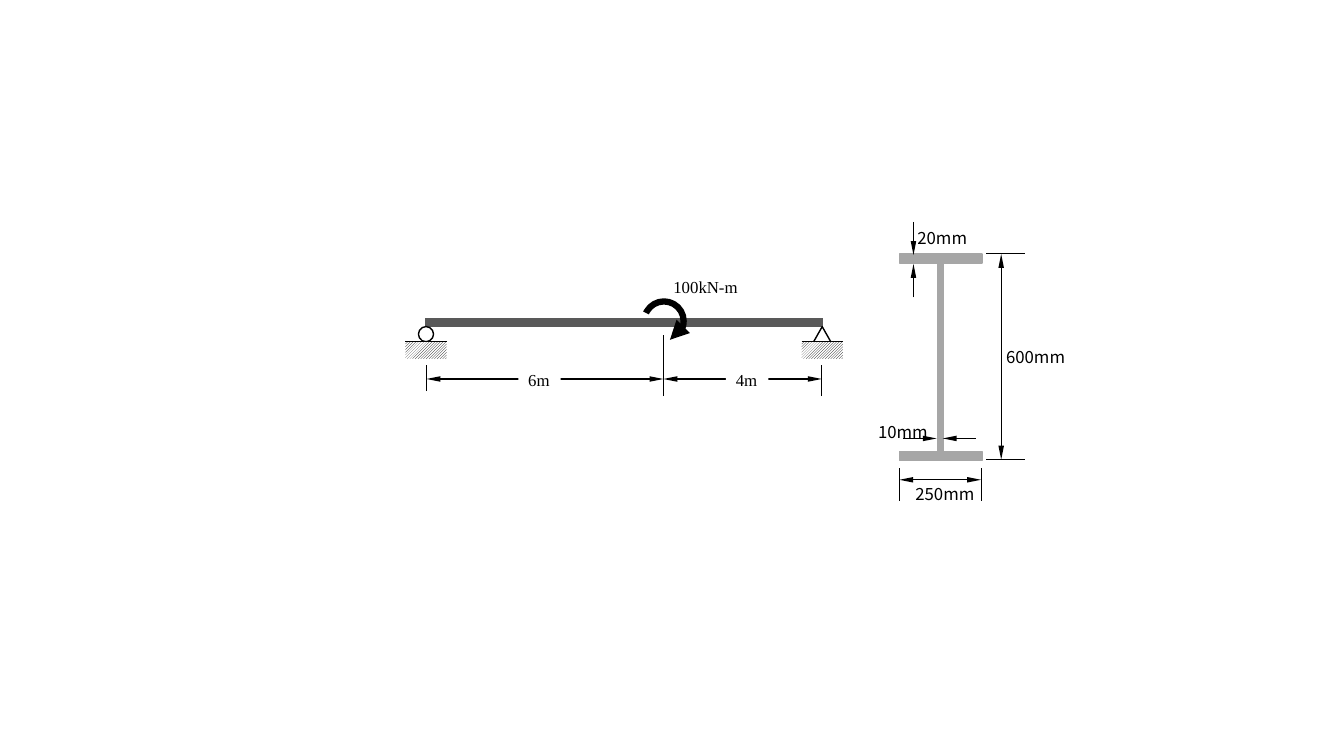
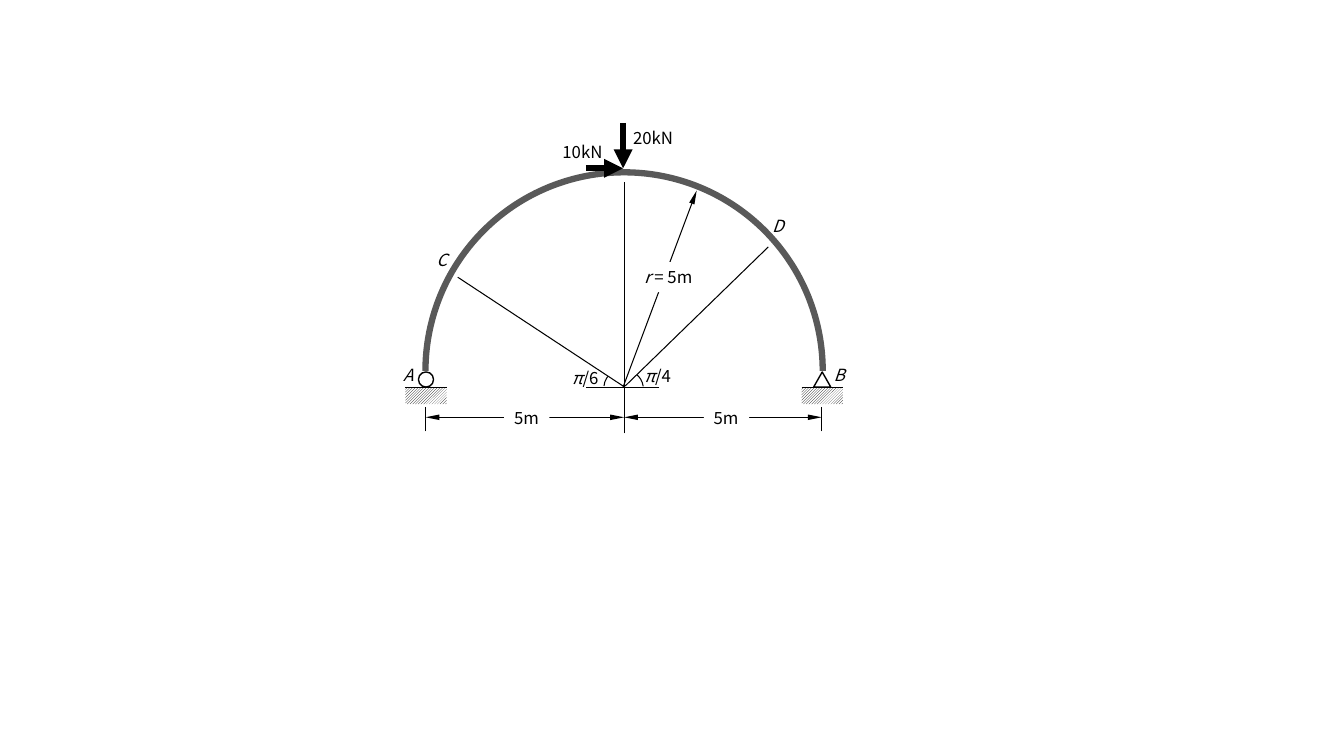
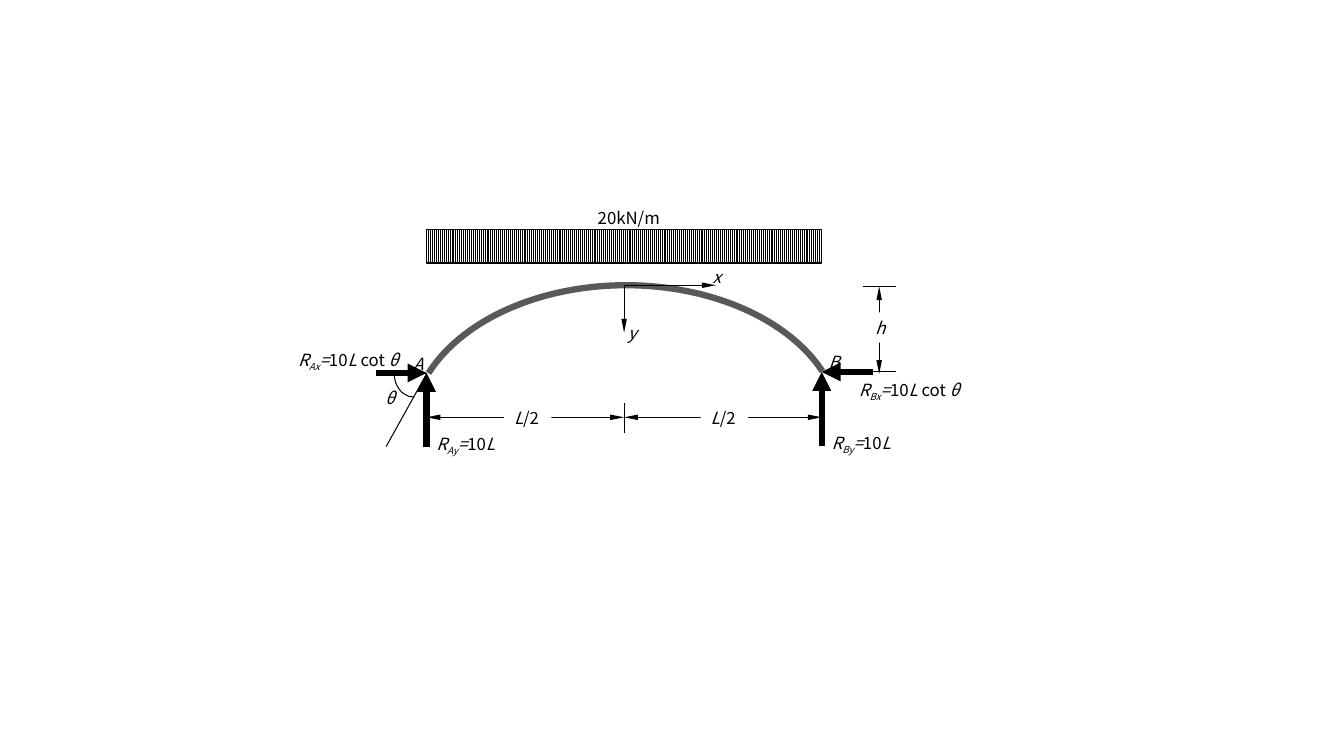
from lxml.etree import SubElement
from pptx import Presentation
from pptx.dml.color import RGBColor
from pptx.enum.dml import MSO_PATTERN as Pattern
from pptx.enum.shapes import MSO_CONNECTOR as Connector, MSO_SHAPE as Shape
from pptx.enum.text import MSO_ANCHOR as Anchor, MSO_AUTO_SIZE as AutoSize, PP_ALIGN as Align
from pptx.oxml.ns import qn
from pptx.util import Inches, Pt

# Shared look
BLACK, WHITE, MEMBER, STEEL = "000000", "FFFFFF", "595959", "A6A6A6"
SANS, SERIF = "Noto Sans CJK KR", "Times New Roman"
THIN, OUTLINE, HEAVY = 0.75, 1, 4.5

# Shared positions of the supports and the midspan
LEFT, MID, RIGHT = 4.22, 6.19, 8.15


def color(value):
    return RGBColor.from_string(value)


def add_tips(shape, head, tail, slim):
    """Put arrowheads on the start (head) and the end (tail) of a line."""
    outline = shape.element.spPr.find(qn("a:ln"))
    for tag, wanted in (("a:headEnd", head), ("a:tailEnd", tail)):
        if wanted:
            tip = SubElement(outline, qn(tag), type="triangle")
            tip.set("w", "sm" if slim else "med")
            tip.set("len", "lg" if slim else "med")


def line(shapes, x1, y1, x2, y2, width=THIN, ink=BLACK, head=False, tail=False):
    connector = shapes.add_connector(
        Connector.STRAIGHT, Inches(x1), Inches(y1), Inches(x2), Inches(y2))
    connector.line.width = Pt(width)
    connector.line.color.rgb = color(ink)
    add_tips(connector, head, tail, slim=width == THIN)
    SubElement(connector.element.spPr, qn("a:effectLst"))


def arrow(shapes, x1, y1, x2, y2, width=THIN):
    line(shapes, x1, y1, x2, y2, width, tail=True)


def dimension(shapes, x1, y1, x2, y2):
    line(shapes, x1, y1, x2, y2, head=True, tail=True)


def figure(shapes, kind, x, y, width, height, fill=None, ink=None,
           weight=OUTLINE, pattern=None):
    shape = shapes.add_shape(kind, Inches(x), Inches(y), Inches(width), Inches(height))
    shape.shadow.inherit = False
    if pattern:
        shape.fill.patterned()
        shape.fill.pattern = pattern
        shape.fill.fore_color.rgb = color(BLACK)
        shape.fill.back_color.rgb = color(WHITE)
    elif fill:
        shape.fill.solid()
        shape.fill.fore_color.rgb = color(fill)
    else:
        shape.fill.background()
    if ink:
        shape.line.color.rgb = color(ink)
        shape.line.width = Pt(weight)
    else:
        shape.line.fill.background()
    return shape


def arc(shapes, x, y, width, height, start, end, weight=THIN, ink=BLACK, tail=False):
    """Draw an arc clockwise between two angles in degrees."""
    shape = figure(shapes, Shape.ARC, x, y, width, height, ink=ink, weight=weight)
    for index, angle in enumerate((start, end)):
        shape.adjustments[index] = angle * 0.6  # 60000 units a degree, scaled by 100000
    add_tips(shape, False, tail, slim=False)


def label(shapes, x, y, width, *spans, font=SANS, fill=None, wrap=False):
    """Write spans: plain text, or a (text, style) pair with style i or sub."""
    box = shapes.add_textbox(Inches(x), Inches(y), Inches(width), Inches(0.3))
    if fill:
        box.fill.solid()
        box.fill.fore_color.rgb = color(fill)
    frame = box.text_frame
    frame.word_wrap = wrap
    frame.auto_size = AutoSize.SHAPE_TO_FIT_TEXT
    frame.vertical_anchor = Anchor.TOP
    para = frame.paragraphs[0]
    para.alignment = Align.LEFT
    for item in spans:
        text, style = (item, "") if isinstance(item, str) else item
        span = para.add_run()
        span.text = text
        span.font.size = Pt(12)
        span.font.italic = style in ("i", "sub")
        span.font.color.rgb = color(BLACK)
        span.font.name = font
        props = span._r.get_or_add_rPr()
        SubElement(props, qn("a:ea"), typeface=font)
        if style == "sub":
            props.set("baseline", "-25000")


def ground(shapes, x, y):
    group = shapes.add_group_shape().shapes
    figure(group, Shape.RECTANGLE, x - 0.2, y, 0.41, 0.17,
           pattern=Pattern.LIGHT_UPWARD_DIAGONAL)
    line(group, x - 0.2, y, x + 0.21, y)


def supports(shapes, y):
    """Roller on the left and pin on the right, standing on ground at y."""
    figure(shapes, Shape.OVAL, 4.15, y - 0.15, 0.15, 0.15, fill=WHITE, ink=BLACK)
    figure(shapes, Shape.ISOSCELES_TRIANGLE, 8.07, y - 0.15, 0.17, 0.15, ink=BLACK)
    for x in (LEFT, RIGHT):
        ground(shapes, x, y)


def spans_below(shapes, stops, y, labels, width, font=SANS):
    """Dimension each bay between stops; labels are (left, spans) pairs."""
    for start, end in zip(stops, stops[1:]):
        dimension(shapes, start, y, end, y)
    for x, spans in labels:
        label(shapes, x, y - 0.14, width, *spans, font=font, fill=WHITE)


def beam_slide(shapes):
    # Beam with a moment
    line(shapes, LEFT, 3.2, 8.16, 3.2, 6, MEMBER)
    supports(shapes, 3.39)
    arc(shapes, 6.39, 2.99, 0.39, 0.39, 204.33, 72.35, HEAVY, tail=True)
    label(shapes, 6.58, 2.7, 0.85, "100kN-m", font=SERIF)

    # Bay lengths
    spans_below(shapes, (4.23, 6.58, RIGHT), 3.76,
                ((5.14, ["6m"]), (7.2, ["4m"])), 0.42, SERIF)
    for x, top, bottom in ((4.23, 3.62, 3.88), (6.58, 3.32, 3.93), (RIGHT, 3.62, 3.93)):
        line(shapes, x, bottom, x, top)

    # I-section
    section = shapes.add_group_shape().shapes
    for x, y, width, height in ((9.3, 2.52, 0.06, 2.04), (8.92, 2.52, 0.82, 0.09),
                                (8.92, 4.48, 0.82, 0.09)):
        figure(section, Shape.RECTANGLE, x, y, width, height, fill=STEEL, ink=STEEL)

    # Section dimensions
    dimension(shapes, 9.93, 2.52, 9.93, 4.56)
    for y in (2.52, 4.56):
        line(shapes, 9.78, y, 10.17, y)
    dimension(shapes, 8.92, 4.76, 9.73, 4.76)
    for x in (8.92, 9.73):
        line(shapes, x, 4.97, x, 4.64)
    arrow(shapes, 9.06, 2.2, 9.06, 2.53)
    arrow(shapes, 9.06, 2.95, 9.06, 2.62)
    arrow(shapes, 9.68, 4.35, 9.35, 4.35)
    arrow(shapes, 8.96, 4.35, 9.29, 4.35)
    for x, y, text in ((9.88, 3.39, "600mm"), (8.98, 4.75, "250mm"),
                       (9, 2.21, "20mm"), (8.61, 4.13, "10mm")):
        label(shapes, x, y, 1.05, text, wrap=True)


def round_arch_slide(shapes):
    # Rays to C and D
    line(shapes, 6.18, 3.83, 4.54, 2.75)
    line(shapes, 6.2, 3.83, 7.62, 2.45)

    # Supports and bay lengths
    supports(shapes, 3.84)
    spans_below(shapes, (LEFT, MID, RIGHT), 4.14, ((5, ["5m"]), (6.98, ["5m"])), 0.45)
    for x in (LEFT, RIGHT):
        line(shapes, x, 4.28, x, 4.04)
    line(shapes, MID, 4.3, MID, 1.81)

    # Arch and loads
    arc(shapes, LEFT, 1.71, 3.94, 3.94, 180, 0, HEAVY, MEMBER)
    arrow(shapes, 6.18, 1.22, 6.18, 1.67, HEAVY)
    arrow(shapes, 5.81, 1.67, 6.18, 1.67, HEAVY)
    label(shapes, 6.18, 1.22, 0.62, "20kN")
    label(shapes, 5.48, 1.36, 0.62, "10kN")

    # Radius and angles
    line(shapes, 6.54, 3.84, 5.81, 3.84)
    arrow(shapes, 6.18, 3.84, 6.91, 1.89)
    label(shapes, 6.29, 2.6, 0.72, ("r ", "i"), "= 5m", fill=WHITE)
    arc(shapes, 5.99, 3.66, 0.39, 0.37, 184.61, 215.43)
    arc(shapes, 5.99, 3.67, 0.39, 0.37, 313.67, 353.72)
    label(shapes, 5.57, 3.6, 0.49, ("π", "i"), "/6")
    label(shapes, 6.29, 3.58, 0.49, ("π", "i"), "/4")

    # Points
    for x, y, name in ((4.23, 2.43, "C"), (7.56, 2.09, "D"),
                       (3.9, 3.57, "A"), (8.17, 3.57, "B")):
        label(shapes, x, y, 0.32, (name, "i"))


def flat_arch_slide(shapes):
    # Bay lengths
    half = [("L", "i"), "/2"]
    spans_below(shapes, (4.23, MID, RIGHT), 4.14, ((5, half), (6.95, half)), 0.47)
    line(shapes, RIGHT, 4.27, RIGHT, 4.03)
    line(shapes, MID, 4.3, MID, 4)

    # Arch
    arc(shapes, 4.08, 2.83, 4.26, 2.87, 196.02, 343.37, HEAVY, MEMBER)

    # Rise
    rise = shapes.add_group_shape().shapes
    dimension(rise, 8.72, 2.84, 8.72, 3.71)
    for y in (2.84, 3.69):
        line(rise, 8.56, y, 8.89, y)
    label(rise, 8.58, 3.1, 0.31, ("h", "i"), fill=WHITE)

    # Axes
    arrow(shapes, MID, 2.83, MID, 3.3)
    arrow(shapes, MID, 2.83, 7.1, 2.83)

    # Distributed load
    figure(shapes, Shape.RECTANGLE, 4.23, 2.28, 3.92, 0.33, ink=BLACK, weight=THIN,
           pattern=Pattern.LIGHT_VERTICAL)
    label(shapes, 5.83, 2.01, 0.85, "20kN/m")

    # Angle at A
    line(shapes, 3.83, 3.71, 4.24, 3.71)
    line(shapes, 4.23, 4.42, 4.23, 3.7)
    line(shapes, 3.83, 4.43, 4.23, 3.71)
    arc(shapes, 3.91, 3.47, 0.39, 0.47, 88.76, 181.4)

    # Points, axis names and angle name
    for x, y, name in ((4, 3.46, "A"), (8.12, 3.44, "B"), (6.97, 2.6, "x"),
                       (6.13, 3.15, "y"), (3.72, 3.8, "θ")):
        label(shapes, x, y, 0.31, (name, "i"))

    # Reactions: end, joint, tail of the thrust, thrust label
    for end, x, y, thrust_from, thrust_x, thrust_y in (
            ("A", 4.23, 3.7, 3.73, 2.86, 3.42), ("B", RIGHT, 3.69, 8.66, 8.42, 3.72)):
        arrow(shapes, x, y + 0.73, x, y, HEAVY)
        arrow(shapes, thrust_from, y, x, y, HEAVY)
        label(shapes, x, y + 0.55, 0.83,
              ("R", "i"), (end + "y", "sub"), ("=", "i"), "10", ("L", "i"))
        label(shapes, thrust_x, thrust_y, 1.3, ("R", "i"), (end + "x", "sub"),
              ("=", "i"), "10", ("L ", "i"), "cot ", ("θ", "i"))


def main():
    deck = Presentation()
    deck.slide_width, deck.slide_height = Inches(13.33), Inches(7.5)
    blank = deck.slide_layouts[6]
    for draw in (beam_slide, round_arch_slide, flat_arch_slide):
        page = deck.slides.add_slide(blank)
        draw(page.shapes)
    deck.save("out.pptx")


if __name__ == "__main__":
    main()
